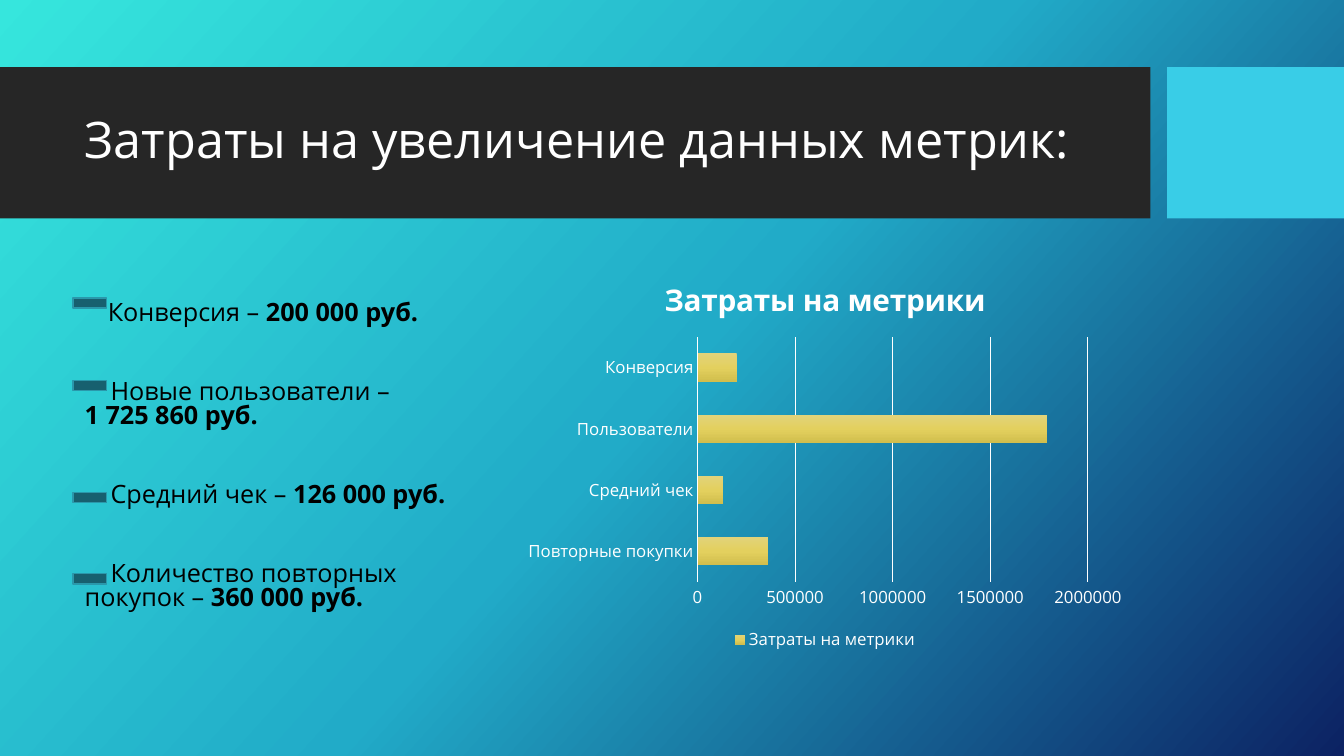
"""Build the slide on the costs of raising four metrics."""
from copy import deepcopy

from pptx import Presentation
from pptx.chart import data
from pptx.dml.color import RGBColor
from pptx.enum import chart as charts, shapes, text
from pptx.oxml import ns
from pptx.util import Pt

FONT = "Open Sans"
WHITE = RGBColor(0xFF, 0xFF, 0xFF)
BLACK = RGBColor(0x00, 0x00, 0x00)
CHARCOAL = RGBColor(0x26, 0x26, 0x26)
CYAN = RGBColor(0x39, 0xCD, 0xE7)
MINUS_FILL = RGBColor(0x17, 0x60, 0x6F)
MINUS_LINE = RGBColor(0x2A, 0x98, 0xAB)
BACKGROUND = (RGBColor(0x36, 0xE6, 0xDD), RGBColor(0x21, 0xAB, 0xC8), RGBColor(0x0C, 0x22, 0x63))
GOLD = (RGBColor(0xE2, 0xD3, 0x7A), RGBColor(0xE3, 0xD0, 0x5E), RGBColor(0xD1, 0xBE, 0x4D))


def add_run(paragraph, content, size=18, color=BLACK, bold=False):
    run = paragraph.add_run()
    run.text = content
    run.font.name = FONT
    run.font.size = Pt(size)
    run.font.color.rgb = color
    run.font.bold = bold


def paint_gradient(fill, owner, colors, angle):
    fill.gradient()
    fill.gradient_angle = angle
    stop_list = owner.find(".//" + ns.qn("a:gsLst"))
    stop_list.append(deepcopy(stop_list[-1]))
    for index, (stop, color) in enumerate(zip(fill.gradient_stops, colors)):
        stop.position = index / 2
        stop.color.rgb = color


presentation = Presentation()
presentation.slide_width, presentation.slide_height = Pt(960), Pt(540)
slide = presentation.slides.add_slide(presentation.slide_layouts[6])
paint_gradient(slide.background.fill, slide.element, BACKGROUND, 318)

for left, width, color in ((0, 821.8, CHARCOAL), (833.6, 126.4, CYAN)):
    band = slide.shapes.add_shape(shapes.MSO_SHAPE.RECTANGLE, Pt(left), Pt(48), Pt(width), Pt(108))
    band.shadow.inherit = False
    band.fill.solid()
    band.fill.fore_color.rgb = color
    band.line.fill.background()

title = slide.shapes.add_textbox(Pt(53.4), Pt(59), Pt(756.6), Pt(85))
title.text_frame.word_wrap = True
title.text_frame.vertical_anchor = text.MSO_ANCHOR.MIDDLE
heading = title.text_frame.paragraphs[0]
heading.line_spacing = 0.9
add_run(heading, "Затраты на увеличение данных метрик:", size=36, color=WHITE)

chart_data = data.CategoryChartData()
chart_data.categories = ["Повторные покупки", "Средний чек", "Пользователи", "Конверсия"]
chart_data.add_series("Затраты на метрики", (360000, 130000, 1790000, 200000))
chart = slide.shapes.add_chart(
    charts.XL_CHART_TYPE.BAR_CLUSTERED, Pt(368.6), Pt(184.3), Pt(441.4), Pt(283.7), chart_data
).chart
chart.has_title = True
add_run(chart.chart_title.text_frame.paragraphs[0], "Затраты на метрики", size=21.3, color=WHITE, bold=True)
chart.has_legend = True
chart.legend.position = charts.XL_LEGEND_POSITION.BOTTOM
chart.legend.include_in_layout = False

category_axis, value_axis = chart.category_axis, chart.value_axis
for font in (chart.font, chart.legend.font, category_axis.tick_labels.font, value_axis.tick_labels.font):
    font.name = FONT
    font.size = Pt(12)
    font.color.rgb = WHITE
for axis in (category_axis, value_axis):
    axis.major_tick_mark = axis.minor_tick_mark = charts.XL_TICK_MARK.NONE
value_axis.format.line.fill.background()
value_axis.has_major_gridlines = True
for line, width in ((category_axis.format.line, 1), (value_axis.major_gridlines.format.line, 0.75)):
    line.color.rgb = WHITE
    line.width = Pt(width)

plot = chart.plots[0]
plot.vary_by_categories = False
plot.gap_width = 115
plot.overlap = -20
costs = plot.series[0]
paint_gradient(costs.format.fill, costs._element, GOLD, 270)

body = slide.shapes.add_textbox(Pt(53.4), Pt(184.3), Pt(298), Pt(283.7)).text_frame
body.word_wrap = True
body.vertical_anchor = text.MSO_ANCHOR.MIDDLE
metrics = (
    ("Конверсия – ", "200 000 руб.", 201),
    ("Новые пользователи –\v", "1 725 860 руб.", 260),
    ("Средний чек – ", "126 000 руб.", 340),
    ("Количество повторных покупок – ", "360 000 руб.", 398),
)
for index, (label, cost, top) in enumerate(metrics):
    paragraph = body.add_paragraph() if index else body.paragraphs[0]
    paragraph.line_spacing = 0.8
    paragraph.space_before = Pt(39 if index else 0)
    paragraph._p.get_or_add_pPr().set("indent", str(Pt(18.5 if index else 16.5)))
    name, *line_break = label.split("\v")
    add_run(paragraph, name)
    if line_break:
        paragraph.add_line_break()
    add_run(paragraph, cost, bold=True)

    minus = slide.shapes.add_shape(shapes.MSO_SHAPE.MATH_MINUS, Pt(48), Pt(top), Pt(32.4), Pt(31))
    minus.shadow.inherit = False
    minus.fill.solid()
    minus.fill.fore_color.rgb = MINUS_FILL
    minus.line.color.rgb = MINUS_LINE
    minus.line.width = Pt(1)

presentation.save("out.pptx")
